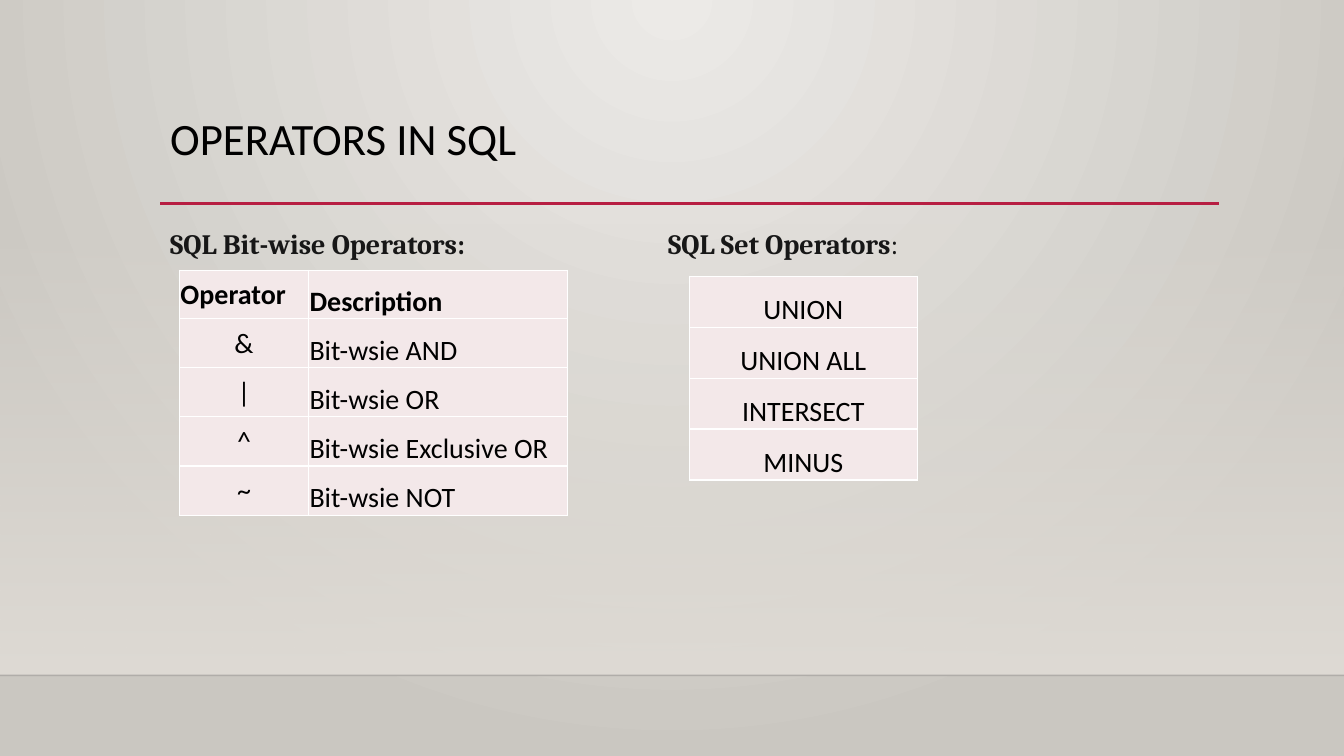
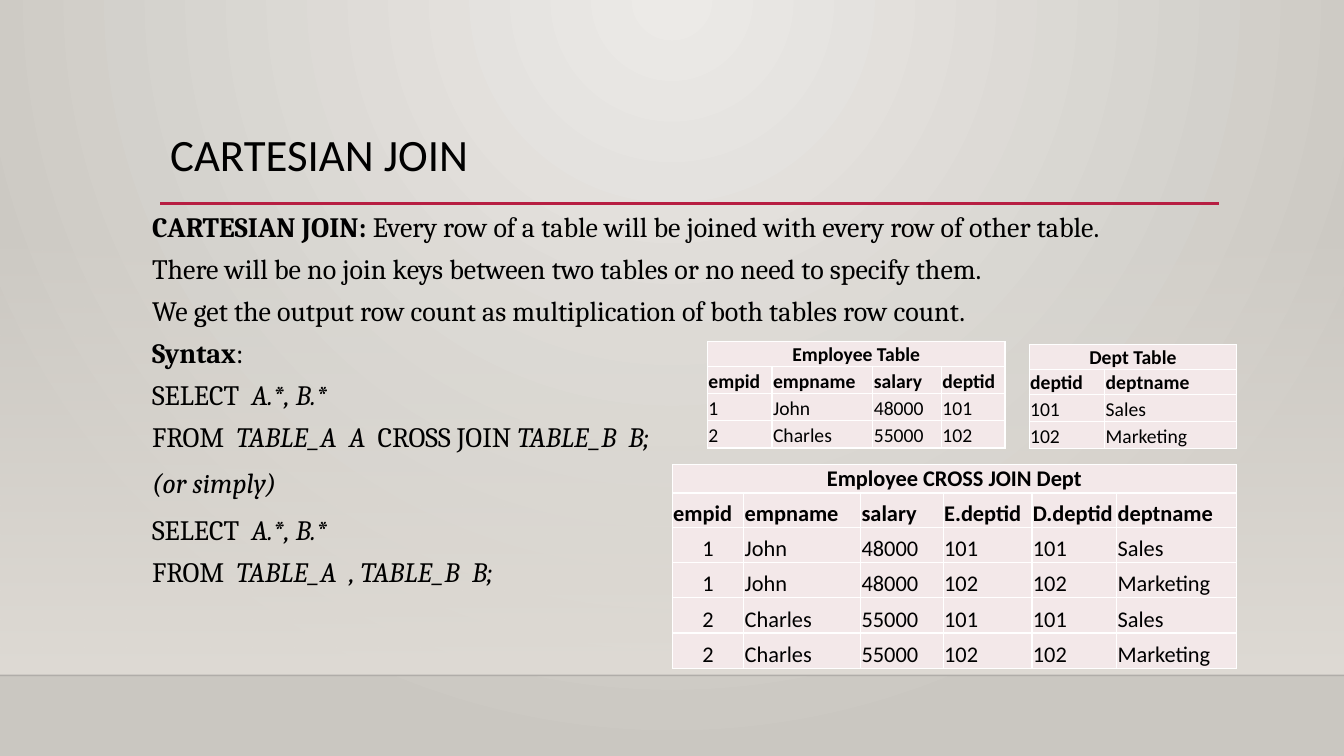
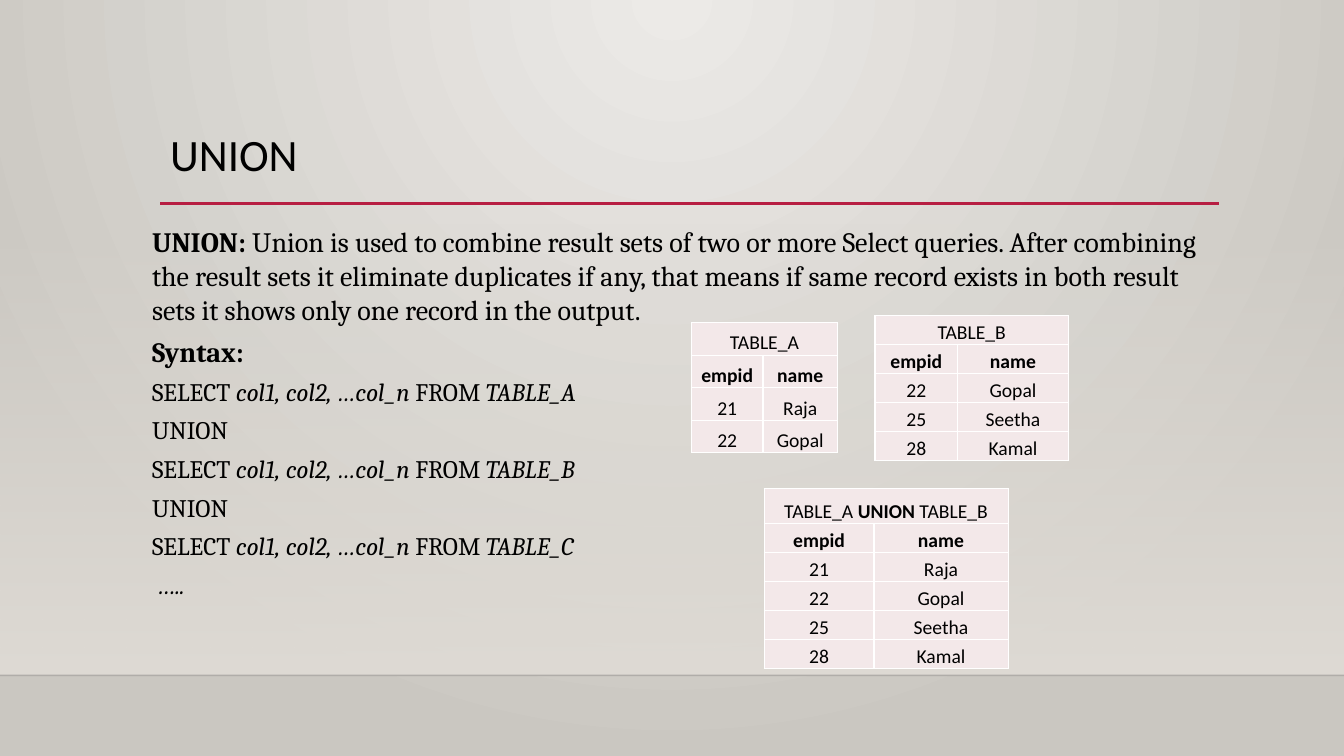
from dataclasses import dataclass
from typing import NamedTuple

import pptx
import pptx.dml.color
import pptx.enum.shapes
import pptx.enum.text
import pptx.oxml
import pptx.oxml.ns
import pptx.util
from lxml import etree

Pt = pptx.util.Pt
RGBColor = pptx.dml.color.RGBColor
Align = pptx.enum.text.PP_ALIGN
Anchor = pptx.enum.text.MSO_ANCHOR
qn = pptx.oxml.ns.qn

# Theme
WIDTH, HEIGHT = 960, 540
BG_LIGHT = RGBColor(0xEC, 0xEA, 0xE7)
BG_DARK = RGBColor(0xCA, 0xC7, 0xC1)
BAND = RGBColor(0xDF, 0xDB, 0xD5)
FLOOR_LINE = RGBColor(0x00, 0x00, 0x01)
ACCENT = RGBColor(0xB7, 0x1E, 0x42)
BLACK = RGBColor(0x00, 0x00, 0x00)
CHARCOAL = RGBColor(0x17, 0x17, 0x17)
CELL_FILL = RGBColor(0xF3, 0xE8, 0xE9)
WHITE = RGBColor(0xFF, 0xFF, 0xFF)
SANS, SERIF = "Calibri", "Cambria"
BAND_TOP, FLOOR_Y = 159.1, 482.4
CONTENT_LEFT, CONTENT_WIDTH = 114.5, 756
RULE_Y = 145.4
ALIGN = {"l": Align.LEFT, "c": Align.CENTER}


class Run(NamedTuple):
    text: str
    style: str = ""  # "b" for bold, "i" for italic


class Para(NamedTuple):
    runs: tuple[Run, ...]
    size: float = 20
    before: float = 3
    after: float = 3


class Box(NamedTuple):
    left: float
    top: float
    width: float
    height: float

    def lengths(self) -> list[int]:
        return [Pt(v) for v in self]


@dataclass
class Table:
    left: float
    top: float
    cols: list[float]
    rows: list[float]
    data: list[list[str]]
    size: float
    align: str  # one letter per column, for the data rows
    title: tuple[Run, ...] = ()
    header: list[str] | None = None
    header_align: str = "l"
    first_col_pad: float = 0


# Text
def add_run(p, text: str, *, size: float, font: str = SERIF, color: RGBColor = BLACK,
            bold: bool = False, italic: bool = False) -> None:
    r = p.add_run()
    r.text = text
    r.font.size, r.font.name = Pt(size), font
    r.font.bold, r.font.italic = bold, italic
    r.font.color.rgb = color


def add_runs(p, runs: tuple[Run, ...], **fmt) -> None:
    for run in runs:
        add_run(p, run.text, bold="b" in run.style, italic="i" in run.style, **fmt)


def add_text(s, box: Box, paras: list[Para], *, spacing: float = 1.0, **fmt) -> None:
    tf = s.shapes.add_textbox(*box.lengths()).text_frame
    tf.word_wrap = True
    tf.vertical_anchor = Anchor.TOP
    for i, para in enumerate(paras):
        p = tf.add_paragraph() if i else tf.paragraphs[0]
        p.line_spacing = spacing
        p.space_before, p.space_after = Pt(para.before), Pt(para.after)
        add_runs(p, para.runs, size=para.size, **fmt)


# Shared slide parts
def set_alpha(color_parent, percent: int) -> None:
    color = color_parent.find(".//" + qn("a:srgbClr"))
    etree.SubElement(color, qn("a:alpha")).set("val", str(percent * 1000))


def set_gradient(fill, start: RGBColor, end: RGBColor) -> None:
    fill.gradient()
    for stop, color in zip(fill.gradient_stops, (start, end)):
        stop.color.rgb = color


def set_background(master) -> None:
    set_gradient(master.background.fill, BG_LIGHT, BG_DARK)
    grad = master.element.find(".//" + qn("p:bg")).find(".//" + qn("a:gradFill"))
    radial = etree.Element(qn("a:path"), path="circle")
    etree.SubElement(radial, qn("a:fillToRect"), l="43000", t="0", r="43000", b="100000")
    grad.replace(grad.find(qn("a:lin")), radial)


def add_line(s, left: float, right: float, y: float, color: RGBColor, width: float):
    line = s.shapes.add_connector(pptx.enum.shapes.MSO_CONNECTOR.STRAIGHT,
                                  Pt(left), Pt(y), Pt(right), Pt(y))
    line.line.color.rgb, line.line.width = color, Pt(width)
    etree.SubElement(line.element.spPr, qn("a:effectLst"))
    return line


def add_slide(prs, title: str, title_top: float, title_height: float):
    s = prs.slides.add_slide(prs.slide_layouts[6])
    sp = s.shapes.add_shape(pptx.enum.shapes.MSO_SHAPE.RECTANGLE,
                            *Box(0, BAND_TOP, WIDTH, FLOOR_Y - BAND_TOP).lengths())
    sp.shadow.inherit = False
    sp.line.fill.background()
    set_gradient(sp.fill, BAND, BAND)
    sp.fill.gradient_angle = 270
    set_alpha(sp.element.spPr.find(".//" + qn("a:gs")), 0)
    floor = add_line(s, 0, WIDTH, FLOOR_Y, FLOOR_LINE, 1)
    set_alpha(floor.element.spPr, 20)
    add_line(s, CONTENT_LEFT, CONTENT_LEFT + CONTENT_WIDTH, RULE_Y, ACCENT, 2.5)
    add_text(s, Box(CONTENT_LEFT, title_top, CONTENT_WIDTH, title_height),
             [Para((Run(title),), 32, 0, 0)], spacing=0.9, font=SANS)
    return s


# Tables
def format_cell(cell, runs: tuple[Run, ...], size: float, align: str, pad: float = 0) -> None:
    cell.margin_left = cell.margin_right = Pt(0.7)
    cell.margin_top, cell.margin_bottom = Pt(pad or 0.7), Pt(pad)
    cell.vertical_anchor = Anchor.BOTTOM
    p = cell.text_frame.paragraphs[0]
    p.alignment = ALIGN[align]
    add_runs(p, runs, size=size, font=SANS)
    paint_cell(cell)


def paint_cell(cell) -> None:
    props = cell._tc.get_or_add_tcPr()
    for side in ("a:lnL", "a:lnR", "a:lnT", "a:lnB"):
        ln = etree.SubElement(props, qn(side), w=str(Pt(1)))
        solid = etree.SubElement(ln, qn("a:solidFill"))
        etree.SubElement(solid, qn("a:srgbClr"), val=str(WHITE))
    cell.fill.solid()
    cell.fill.fore_color.rgb = CELL_FILL


def add_table(s, t: Table) -> None:
    box = Box(t.left, t.top, sum(t.cols), sum(t.rows))
    tbl = s.shapes.add_table(len(t.rows), len(t.cols), *box.lengths()).table
    tbl.first_row = tbl.horz_banding = False
    for col, width in zip(tbl.columns, t.cols):
        col.width = Pt(width)
    for row, height in zip(tbl.rows, t.rows):
        row.height = Pt(height)
    row_no = 0
    if t.title:
        tbl.cell(0, 0).merge(tbl.cell(0, len(t.cols) - 1))
        format_cell(tbl.cell(0, 0), t.title, t.size, "c")
        for c in range(1, len(t.cols)):
            paint_cell(tbl.cell(0, c))
        row_no = 1
    lines = [(t.header, "b", t.header_align * len(t.cols))] if t.header else []
    lines += [(values, "", t.align) for values in t.data]
    for r, (values, style, aligns) in enumerate(lines, row_no):
        for c, (value, align) in enumerate(zip(values, aligns)):
            format_cell(tbl.cell(r, c), (Run(value, style),), t.size, align,
                        0 if c else t.first_col_pad)


# Slides
def build_operators(prs) -> None:
    s = add_slide(prs, "OPERATORS IN SQL", 79.9, 64.8)
    add_text(s, Box(CONTENT_LEFT, 158.4, 306, 316.8),
             [Para((Run("SQL Bit-wise Operators:", "b"),))], color=CHARCOAL)
    add_text(s, Box(470.2, 158.4, 358.6, 316.8),
             [Para((Run("SQL Set Operators", "b"), Run(":")))], color=CHARCOAL)
    add_table(s, Table(492.5, 197.3, [162.7], [36.4] * 4,
                       [["UNION"], ["UNION ALL"], ["INTERSECT"], ["MINUS"]], 20, "c"))
    add_table(s, Table(128.2, 193, [92.2, 185], [34.6] + [35.1] * 4,
                       [["&", "Bit-wsie AND"], ["|", "Bit-wsie OR"],
                        ["^", "Bit-wsie Exclusive OR"], ["~", "Bit-wsie NOT"]],
                       20, "cl", header=["Operator", "Description"], first_col_pad=5))


def build_cartesian(prs) -> None:
    s = add_slide(prs, "CARTESIAN JOIN", 91.4, 54)
    select = Para((Run("SELECT  "), Run("A.*, B.*", "i")))
    add_text(s, Box(101.5, 146.2, 782, 329), [
        Para((Run("CARTESIAN JOIN:", "b"),
              Run(" Every row of a table will be joined with every row of other table."))),
        Para((Run("There will be no join keys between two tables or no need to specify them."),)),
        Para((Run("We get the output row count as multiplication of both tables row count."),)),
        Para((Run("Syntax", "b"), Run(":"))),
        select,
        Para((Run("FROM  "), Run("TABLE_A  A  ", "i"), Run("CROSS JOIN "),
              Run("TABLE_B  B;", "i"))),
        Para((Run("(or simply)", "i"),), before=6, after=6),
        select,
        Para((Run("FROM  "), Run("TABLE_A  , TABLE_B  B;", "i"))),
    ])
    employees = [["1", "John", "48000", "101"], ["2", "Charles", "55000", "102"]]
    depts = [["101", "Sales"], ["102", "Marketing"]]
    add_table(s, Table(505.4, 244.1, [46.1, 72, 49, 45.4], [17.8] + [19.4] * 3,
                       employees, 14, "llll", (Run("Employee Table", "b"),),
                       ["empid", "empname", "salary", "deptid"]))
    add_table(s, Table(735.1, 246.2, [54, 94.3], [17.8] * 2 + [19.4] * 2,
                       depts, 14, "ll", (Run("Dept Table", "b"),), ["deptid", "deptname"]))
    # Every employee is paired with every department
    joined = [[*emp[:3], dept[0], *dept] for emp in employees for dept in depts]
    add_table(s, Table(480.2, 331.9, [51.1, 83.5, 59, 63.4, 60.5, 85.7],
                       [20.2, 24.5] + [25.2] * 4, joined, 16, "clllll",
                       (Run("Employee CROSS JOIN Dept", "b"),),
                       ["empid", "empname", "salary", "E.deptid", "D.deptid", "deptname"]))


def build_union(prs) -> None:
    s = add_slide(prs, "UNION", 91.4, 54)
    paras = [
        Para((Run("UNION:", "b"),
              Run(" Union is used to combine result sets of two or more Select queries. "
                  "After combining the result sets it eliminate duplicates if any, that means "
                  "if same record exists in both result sets it shows only one record in the "
                  "output."))),
        Para((Run("Syntax:", "b"),)),
    ]
    for i, name in enumerate(("TABLE_A", "TABLE_B", "TABLE_C")):
        if i:
            paras.append(Para((Run("UNION"),), 18))
        paras.append(Para((Run("SELECT "), Run("col1, col2, …col_n ", "i"),
                           Run("FROM "), Run(name, "i")), 18))
    paras.append(Para((Run(" …..", "i"),), 18))
    add_text(s, Box(101.5, 157, 782, 320.4), paras)

    table_a = [["21", "Raja"], ["22", "Gopal"]]
    table_b = [["22", "Gopal"], ["25", "Seetha"], ["28", "Kamal"]]
    union = table_a + [row for row in table_b if row not in table_a]
    both = (Run("TABLE_A "), Run("UNION", "b"), Run(" TABLE_B"))
    for left, top, cols, rows, data, title in (
        (493.9, 230.4, [51.1, 53.3], [23.3] * 4, table_a, (Run("TABLE_A"),)),
        (625, 225.4, [59, 79.2], [20.7] * 5, table_b, (Run("TABLE_B"),)),
        (545.8, 349.2, [78.5, 95.8], [24.7] + [20.7] * 5, union, both),
    ):
        add_table(s, Table(left, top, cols, rows, data, 14, "cc", title,
                           ["empid", "name"], "c"))


def main() -> None:
    prs = pptx.Presentation()
    prs.slide_width, prs.slide_height = Pt(WIDTH), Pt(HEIGHT)
    set_background(prs.slide_master)
    build_operators(prs)
    build_cartesian(prs)
    build_union(prs)
    prs.save("out.pptx")


if __name__ == "__main__":
    main()
